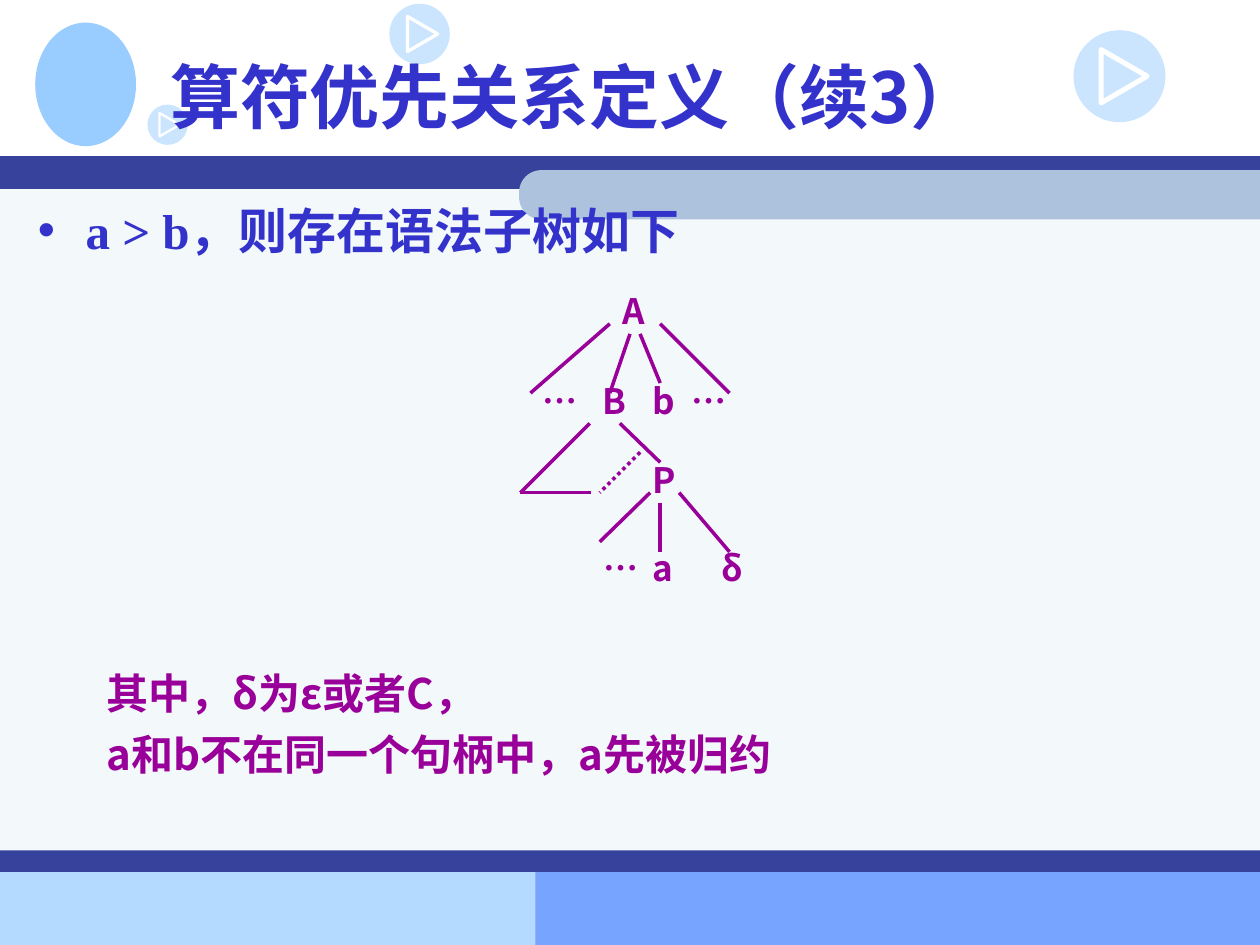
from pptx import Presentation
from pptx.dml.color import RGBColor
from pptx.enum.dml import MSO_LINE_DASH_STYLE as Dash
from pptx.enum.shapes import MSO_CONNECTOR as Connector, MSO_SHAPE as Preset
from pptx.enum.text import MSO_ANCHOR as Anchor, MSO_AUTO_SIZE as AutoSize, PP_ALIGN as Align
from pptx.oxml.ns import qn
from pptx.util import Inches, Pt
from lxml.etree import SubElement

INDIGO = RGBColor(0x33, 0x33, 0xCC)
NAVY = RGBColor(0x36, 0x42, 0x9B)
STEEL = RGBColor(0xAD, 0xC3, 0xDD)
SKY = RGBColor(0x99, 0xCC, 0xFF)
PALE_SKY = RGBColor(0xB5, 0xDA, 0xFF)
BLUE = RGBColor(0x77, 0xA4, 0xFF)
MIST = RGBColor(0xF3, 0xF8, 0xFB)
WHITE = RGBColor(0xFF, 0xFF, 0xFF)
PURPLE = RGBColor(0x99, 0x00, 0x99)

SANS = "Noto Sans CJK SC"
SERIF = "Times New Roman"
HANGING = 0.38

# Syntax tree: symbols share one top per level
LEVELS = [
    (2.25, [("A", 4.84)]),
    (2.96, [("…", 4.21), ("B", 4.68), ("b", 5.08), ("…", 5.39)]),
    (3.59, [("P", 5.08)]),
    (4.29, [("…", 4.69), ("a", 5.08), ("δ", 5.63)]),
]
BRANCHES = [
    # from A
    (4.84, 2.57, 4.21, 3.12), (5, 2.65, 4.84, 3.12),
    (5.08, 2.65, 5.24, 3.04), (5.24, 2.57, 5.79, 3.12),
    # from B, with the base of its left subtree
    (4.92, 3.36, 5.24, 3.67), (4.68, 3.36, 4.13, 3.91), (4.69, 3.91, 4.13, 3.91),
    # from P
    (5.16, 3.91, 4.76, 4.3), (5.24, 3.99, 5.24, 4.38), (5.39, 3.91, 5.79, 4.38),
]
SUBTREE_EDGE = (5.08, 3.59, 4.76, 3.91)


def place(shape, left, top, width, height):
    shape.left, shape.top = Inches(left), Inches(top)
    shape.width, shape.height = Inches(width), Inches(height)


def add_block(slide, preset, box, color):
    block = slide.shapes.add_shape(preset, *map(Inches, box))
    block.shadow.inherit = False
    block.fill.solid()
    block.fill.fore_color.rgb = color
    block.line.fill.background()
    return block


def add_play_mark(slide, left, top, size):
    disc = add_block(slide, Preset.OVAL, (left, top, size, size), SKY)
    sky = disc.fill._xPr.find(".//" + qn("a:srgbClr"))
    SubElement(sky, qn("a:alpha"), val="50000")
    # The triangle is turned about its centre to point right
    base, depth = 0.58 * size, 0.5 * size
    triangle_box = (left + 0.55 * size - base / 2, top + (size - depth) / 2, base, depth)
    triangle = add_block(slide, Preset.ISOSCELES_TRIANGLE, triangle_box, WHITE)
    triangle.rotation = 90
    triangle.fill.background()
    triangle.line.color.rgb = WHITE
    triangle.line.width = Pt(round(4 * size, 1))


def add_backdrop(slide):
    bars = [
        (0, 6.92, 4.25, 0.58, PALE_SKY),
        (3.52, 6.91, 6.48, 0.59, BLUE),
        (0, 1.4, 10, 5.51, MIST),
        (0, 1.24, 10, 0.26, NAVY),
        (0, 6.75, 10, 0.17, NAVY),
    ]
    # The pale footer lies over the blue one
    bars[0], bars[1] = bars[1], bars[0]
    for *box, color in bars:
        add_block(slide, Preset.RECTANGLE, box, color)

    # Tab with a rounded left end, a tall shape turned on its side
    left, top, length, height = 4.12, 1.35, 5.88, 0.39
    upright = (left + (length - height) / 2, top + (height - length) / 2, height, length)
    tab = add_block(slide, Preset.ROUND_2_SAME_RECTANGLE, upright, STEEL)
    tab.adjustments[0] = 0.45
    tab.rotation = 270

    # Plain emblem and play marks
    add_block(slide, Preset.OVAL, (0.28, 0.18, 0.8, 0.98), SKY)
    for left, top, size in [(3.09, 0.03, 0.48), (8.52, 0.24, 0.73), (1.17, 0.83, 0.32)]:
        add_play_mark(slide, left, top, size)


def style_text(frame, size, color, font=SANS, before=0, hanging=0):
    frame.word_wrap = True
    for paragraph in frame.paragraphs:
        paragraph.alignment = Align.LEFT
        paragraph.space_before = Pt(before)
        if hanging:
            properties = paragraph._p.get_or_add_pPr()
            properties.set("marL", str(Inches(hanging)))
            properties.set("indent", str(-Inches(hanging)))
        for run in paragraph.runs:
            run.font.size, run.font.bold = Pt(size), True
            run.font.name = font
            run.font.color.rgb = color
            latin = run._r.rPr.find(qn("a:latin"))
            east_asian = latin.makeelement(qn("a:ea"), {"typeface": SANS})
            latin.addnext(east_asian)


def fill_placeholder(placeholder, box, text, anchor, **style):
    place(placeholder, *box)
    frame = placeholder.text_frame
    frame.text = text
    frame.auto_size = AutoSize.NONE
    frame.vertical_anchor = anchor
    style_text(frame, color=INDIGO, **style)
    # Bring it in front of the backdrop
    placeholder.element.getparent().append(placeholder.element)


def add_text(slide, box, text, size, **style):
    frame = slide.shapes.add_textbox(*map(Inches, box)).text_frame
    frame.text = text
    style_text(frame, size, PURPLE, **style)
    return frame


def add_branch(slide, ends, dash=None):
    branch = slide.shapes.add_connector(Connector.STRAIGHT, *map(Inches, ends))
    branch.line.color.rgb = PURPLE
    branch.line.width = Pt(2)
    if dash:
        branch.line.dash_style = dash
    SubElement(branch._element.spPr, qn("a:effectLst"))


def add_syntax_tree(slide):
    for top, symbols in LEVELS:
        for symbol, left in symbols:
            frame = add_text(slide, (left, top, 0.39, 0.44), symbol, 20)
            frame.auto_size = AutoSize.SHAPE_TO_FIT_TEXT
    for ends in BRANCHES:
        add_branch(slide, ends)
    add_branch(slide, SUBTREE_EDGE, Dash.ROUND_DOT)


def main():
    prs = Presentation()
    prs.slide_width, prs.slide_height = Inches(10), Inches(7.5)
    slide = prs.slides.add_slide(prs.slide_layouts[1])
    title, body = slide.placeholders

    add_backdrop(slide)
    fill_placeholder(title, (1.25, 0.17, 8.5, 1.17), "算符优先关系定义（续3）",
                     Anchor.MIDDLE, size=40)
    fill_placeholder(body, (0.2, 1.54, 9.61, 4.96), "a > b，则存在语法子树如下",
                     Anchor.TOP, size=28, font=SERIF, before=7, hanging=HANGING)

    # Side conditions under the tree
    add_text(slide, (0.75, 5.25, 8.67, 1.02), "其中，δ为ε或者C，\na和b不在同一个句柄中，a先被归约",
             24, before=6, hanging=HANGING)
    add_syntax_tree(slide)
    prs.save("out.pptx")


if __name__ == "__main__":
    main()
